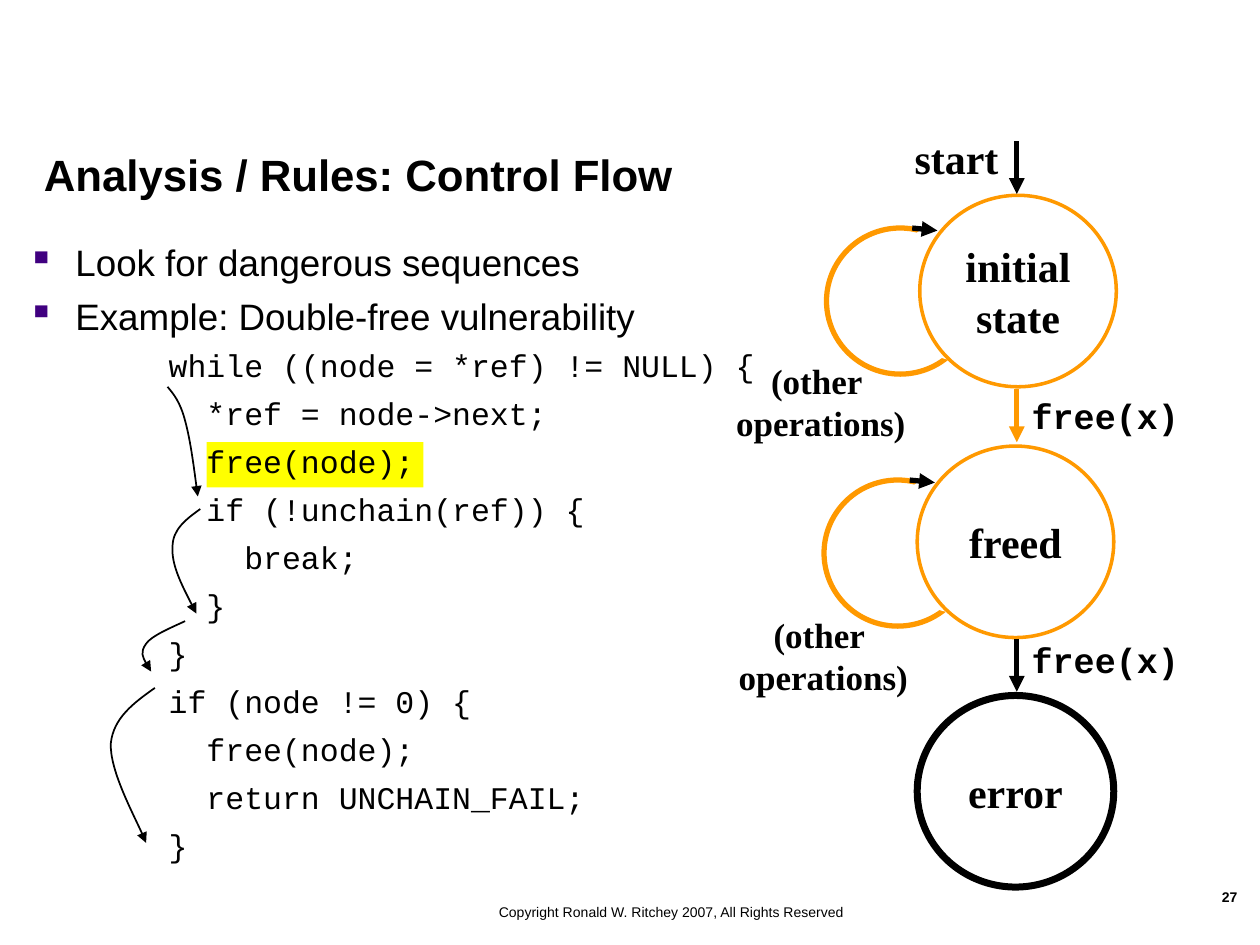
from dataclasses import dataclass

import pptx
import pptx.dml.color
import pptx.enum.shapes
import pptx.enum.text
import pptx.oxml
import pptx.oxml.ns
import pptx.util
from pptx.util import Inches

RGBColor = pptx.dml.color.RGBColor
ALIGN = pptx.enum.text.PP_ALIGN
ANCHOR = pptx.enum.text.MSO_ANCHOR
SHAPE = pptx.enum.shapes.MSO_SHAPE
qn = pptx.oxml.ns.qn

BLACK = RGBColor(0x00, 0x00, 0x00)
WHITE = RGBColor(0xFF, 0xFF, 0xFF)
ORANGE = RGBColor(0xFF, 0x99, 0x00)
YELLOW = RGBColor(0xFF, 0xFF, 0x00)
PURPLE = "400080"
SANS, SERIF, MONO = "Arial", "Times New Roman", "Courier New"
ARROW_X = 8.07
STATE_WIDTH, STATE_HEIGHT = 1.56, 1.52
LOOP_WIDTH, LOOP_HEIGHT = 1.17, 1.16


@dataclass(frozen=True)
class Style:
    font: str
    size: float
    bold: bool = False
    align: ALIGN = ALIGN.LEFT
    anchor: ANCHOR = ANCHOR.TOP
    space_before: float = 0


@dataclass(frozen=True)
class Label:
    text: str
    box: tuple[float, float, float, float]
    style: Style


@dataclass(frozen=True)
class State:
    text: str
    left: float
    top: float
    line: RGBColor
    line_width: float


@dataclass(frozen=True)
class Transition:
    top: float
    bottom: float
    color: RGBColor


STATE_STYLE = Style(SERIF, 24, True, ALIGN.CENTER, ANCHOR.MIDDLE)
START_STYLE = Style(SERIF, 24, True)
LOOP_STYLE = Style(SERIF, 20, True, ALIGN.CENTER)
CALL_STYLE = Style(MONO, 20, True)
BULLET_STYLE = Style(SANS, 21, space_before=6.2)
CODE_STYLE = Style(MONO, 18, anchor=ANCHOR.MIDDLE, space_before=5.8)

LOOPS = [(6.54, 3.81), (6.56, 1.81)]
BULLETS = Label("Look for dangerous sequences\nExample: Double-free vulnerability",
                (0.12, 1.85, 9.75, 5.27), BULLET_STYLE)
LABELS = [
    Label("Copyright Ronald W. Ritchey 2007, All Rights Reserved",
          (2.89, 7.12, 4.88, 0.29), Style(SANS, 8, align=ALIGN.CENTER)),
    Label("27", (8.92, 7, 1, 0.42), Style(SANS, 8, True, ALIGN.RIGHT)),
    Label("Analysis / Rules: Control Flow", (0.25, 0.18, 9.75, 1.46),
          Style(SANS, 25, True, anchor=ANCHOR.BOTTOM)),
    Label("free(x)", (8.09, 3.08, 1.47, 0.57), CALL_STYLE),
    Label("free(x)", (8.09, 5.02, 1.47, 0.57), CALL_STYLE),
    Label("start", (7.16, 1, 0.92, 0.64), START_STYLE),
    Label("(other \voperations)", (5.3, 2.8, 2.43, 0.95), LOOP_STYLE),
    Label("(other \voperations)", (5.32, 4.82, 2.43, 0.95), LOOP_STYLE),
]
STATES = [
    State("initial\nstate", 7.3, 1.55, ORANGE, 2),
    State("freed", 7.28, 3.54, ORANGE, 2),
    State("error", 7.28, 5.52, BLACK, 4),
]
TRANSITIONS = [
    Transition(1.12, 1.54, BLACK),
    Transition(3.09, 3.51, ORANGE),
    Transition(5.07, 5.49, BLACK),
]
# Each flow is a start point followed by two cubic curves of three points.
FLOWS = [
    [(1.33, 3.07), (1.38, 3.13), (1.43, 3.19), (1.47, 3.34),
     (1.51, 3.49), (1.54, 3.71), (1.57, 3.94)],
    [(1.59, 4.04), (1.48, 4.12), (1.37, 4.2), (1.37, 4.34),
     (1.36, 4.48), (1.46, 4.68), (1.56, 4.87)],
    [(1.47, 4.93), (1.34, 4.99), (1.2, 5.05), (1.16, 5.11),
     (1.11, 5.18), (1.15, 5.26), (1.2, 5.33)],
    [(1.23, 5.46), (1.06, 5.58), (0.9, 5.7), (0.88, 5.9),
     (0.87, 6.11), (1.11, 6.56), (1.16, 6.69)],
]
CODE = """while ((node = *ref) != NULL) {
  *ref = node->next;
  free(node);
  if (!unchain(ref)) {
    break;
  }
}
if (node != 0) {
  free(node);
  return UNCHAIN_FAIL;
}"""


def write(shape, text: str, style: Style, wrap: bool = True) -> None:
    frame = shape.text_frame
    frame.text = text
    frame.word_wrap = wrap
    frame.vertical_anchor = style.anchor
    for index, paragraph in enumerate(frame.paragraphs):
        paragraph.alignment = style.align
        if index and style.space_before:
            paragraph.space_before = pptx.util.Pt(style.space_before)
        for run in paragraph.runs:
            run.font.name = style.font
            run.font.size = pptx.util.Pt(style.size)
            run.font.bold = style.bold
            run.font.color.rgb = BLACK


def add_label(slide, label: Label, wrap: bool = True):
    shape = slide.shapes.add_textbox(*map(Inches, label.box))
    write(shape, label.text, label.style, wrap)
    return shape


def add_bullets(shape) -> None:
    for paragraph in shape.text_frame.paragraphs:
        properties = paragraph._p.get_or_add_pPr()
        properties.set("marL", str(Inches(0.38)))
        properties.set("indent", str(-Inches(0.38)))
        color = pptx.oxml.ns.nsdecls("a")
        properties.append(pptx.oxml.parse_xml(
            f'<a:buClr {color}><a:srgbClr val="{PURPLE}"/></a:buClr>'))
        bullet = properties.makeelement(qn("a:buChar"), {"char": "▪"})
        properties.append(bullet)


def add_filled(shapes, kind: SHAPE, box: tuple, fill: RGBColor,
               line: RGBColor | None = None, line_width: float = 0):
    shape = shapes.add_shape(kind, *map(Inches, box))
    shape.shadow.inherit = False
    shape.fill.solid()
    shape.fill.fore_color.rgb = fill
    if line is None:
        shape.line.fill.background()
    else:
        shape.line.color.rgb = line
        shape.line.width = pptx.util.Pt(line_width)
    return shape


def finish_arrow(shape, color: RGBColor, width: float) -> None:
    shape.line.color.rgb = color
    shape.line.width = pptx.util.Pt(width)
    line = shape.line._get_or_add_ln()
    line.append(line.makeelement(qn("a:tailEnd"), {"type": "triangle"}))
    properties = shape._element.spPr
    properties.append(properties.makeelement(qn("a:effectLst"), {}))


def add_arrow(shapes, start: tuple, end: tuple, color: RGBColor) -> None:
    connector = shapes.add_connector(pptx.enum.shapes.MSO_CONNECTOR.STRAIGHT,
                                     *map(Inches, start + end))
    finish_arrow(connector, color, 3)


def add_loop(slide, left: float, top: float) -> None:
    """Draw a ring whose right side is masked, with an arrowhead at its upper end."""
    shapes = slide.shapes.add_group_shape().shapes
    size = (LOOP_WIDTH, LOOP_HEIGHT)
    add_filled(shapes, SHAPE.OVAL, (left, top, *size), WHITE, ORANGE, 3)
    add_filled(shapes, SHAPE.OVAL, (left + 0.51, top - 0.1, *size), WHITE)
    add_arrow(shapes, (left + 0.68, top), (left + 0.88, top + 0.02), BLACK)


def add_flow(slide, points: list) -> None:
    """Draw a curved arrow, turning every three line segments into one cubic curve."""
    corners = [(Inches(x), Inches(y)) for x, y in points]
    builder = slide.shapes.build_freeform(*corners[0])
    builder.add_line_segments(corners[1:], close=False)
    shape = builder.convert_to_shape()
    outline = next(shape._element.iter(qn("a:path")))
    segments = outline.findall(qn("a:lnTo"))
    for first in range(0, len(segments), 3):
        curve = outline.makeelement(qn("a:cubicBezTo"), {})
        outline.append(curve)
        for segment in segments[first:first + 3]:
            curve.append(segment[0])
            outline.remove(segment)
    shape.fill.background()
    finish_arrow(shape, BLACK, 1)


def main() -> None:
    presentation = pptx.Presentation()
    presentation.slide_width, presentation.slide_height = Inches(10), Inches(7.5)
    slide = presentation.slides.add_slide(presentation.slide_layouts[6])
    for left, top in LOOPS:
        add_loop(slide, left, top)
    add_bullets(add_label(slide, BULLETS))
    for label in LABELS:
        add_label(slide, label)
    for state in STATES:
        box = (state.left, state.top, STATE_WIDTH, STATE_HEIGHT)
        shape = add_filled(slide.shapes, SHAPE.OVAL, box, WHITE, state.line, state.line_width)
        write(shape, state.text, STATE_STYLE)
        if state is STATES[0]:
            shape.fill.background()
    for transition in TRANSITIONS:
        add_arrow(slide.shapes, (ARROW_X, transition.top),
                  (ARROW_X, transition.bottom), transition.color)
    add_filled(slide.shapes, SHAPE.RECTANGLE, (1.64, 3.51, 1.72, 0.36), YELLOW)
    for points in FLOWS:
        add_flow(slide, points)
    add_label(slide, Label(CODE, (1.24, 2.79, 4.85, 4.02), CODE_STYLE), wrap=False)
    presentation.save("out.pptx")


if __name__ == "__main__":
    main()
